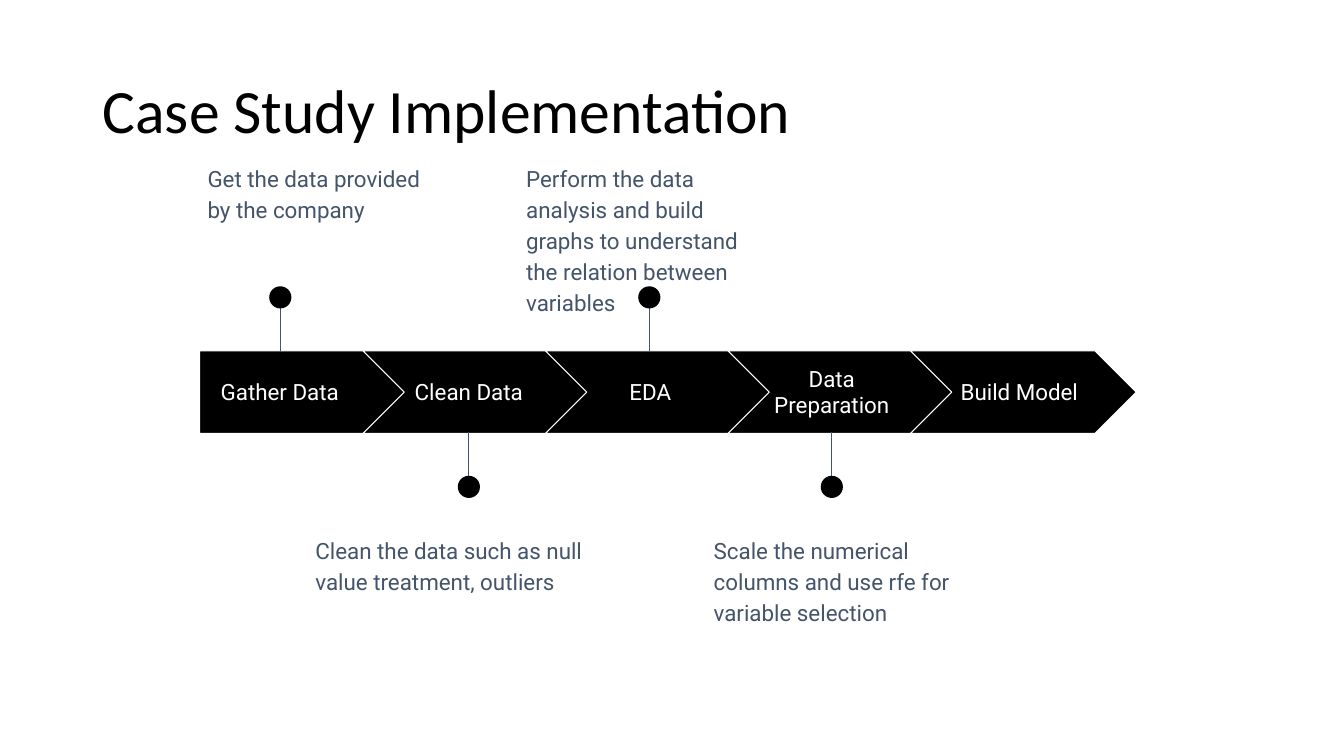
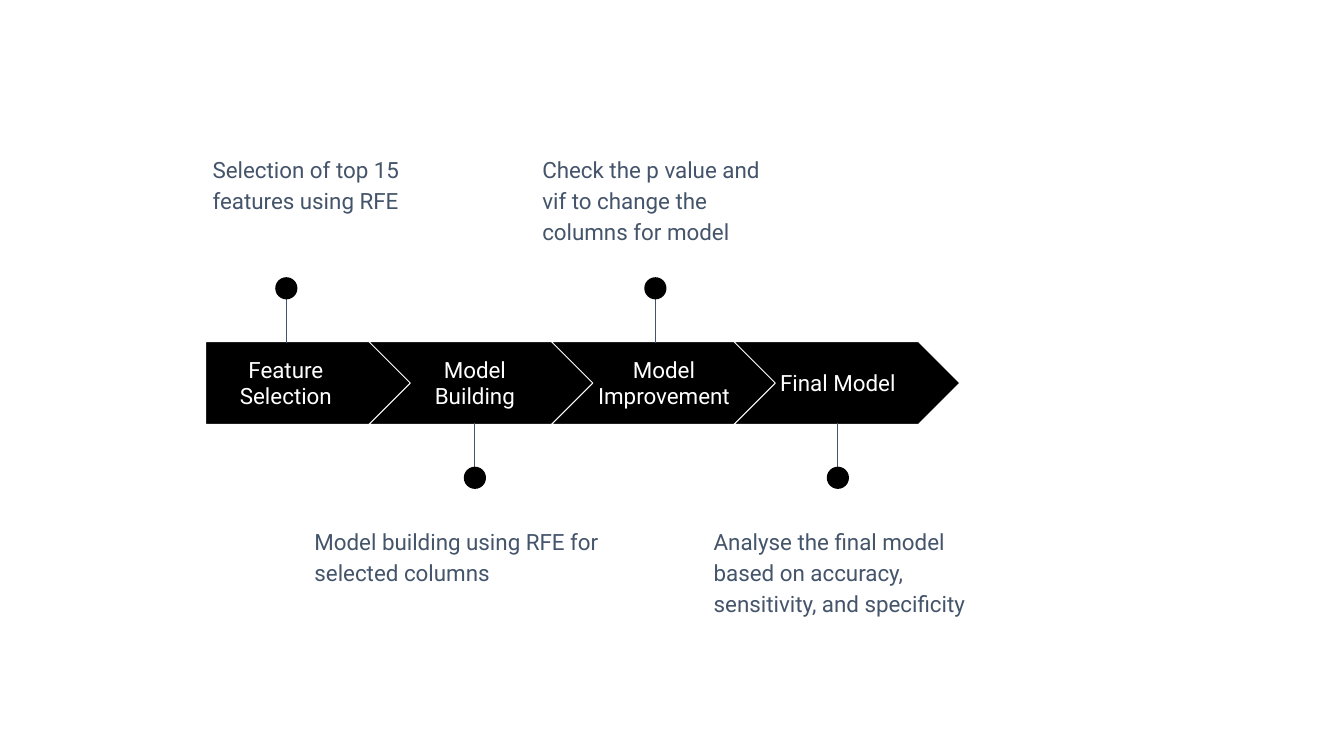
"""Build two slides that show the steps of a case study as chevron timelines."""
from lxml.etree import SubElement
from pptx import Presentation
from pptx.dml.color import RGBColor
from pptx.enum.shapes import MSO_CONNECTOR as LINE, MSO_SHAPE as SHAPE
from pptx.enum.text import MSO_ANCHOR as ANCHOR, PP_ALIGN as ALIGN
from pptx.oxml.ns import qn
from pptx.util import Inches, Pt

BLACK = RGBColor(0x00, 0x00, 0x00)
WHITE = RGBColor(0xFF, 0xFF, 0xFF)
SLATE = RGBColor(0x44, 0x54, 0x6A)

TITLE = {
    "font": {"name": "Calibri", "size": Pt(44)}, "color": BLACK,
    "frame": {"vertical_anchor": ANCHOR.MIDDLE},
    "para": {"line_spacing": 0.9},
}
INSET = {"margin_" + side: Inches(0.1) for side in ("left", "right", "top", "bottom")}
BODY = {"name": "Roboto", "size": Pt(16)}
LABEL = {
    "font": BODY, "color": WHITE,
    "frame": {**INSET, "vertical_anchor": ANCHOR.MIDDLE},
    "para": {"alignment": ALIGN.CENTER},
}
NOTE = {
    "font": BODY, "color": SLATE,
    "frame": {**INSET, "vertical_anchor": ANCHOR.TOP},
    "para": {"line_spacing": 1.15, "space_after": Pt(16)},
}

FIRST, STEP = 1.62, 1.81
HIGH, BALL = 0.82, 0.22
LABELS = (0, 1.95, 3.75, 5.55, 7.41)
PINS = (0.8, 2.67, 4.46, 6.27)

SLIDES = [
    {"title": "Case Study Implementation", "left": 1.98, "top": 3.48, "steps": [
        ("Gather Data", 1.59),
        ("Clean Data", 1.44),
        ("EDA", 1.44),
        ("Data Preparation", 1.44),
        ("Build Model", 1.44),
    ], "notes": [
        ("Get the data provided by the company", 1.96, 2.45, 0.99),
        ("Clean the data such as null value treatment, outliers", 3.03, 3.2, 0.82),
        ("Perform the data analysis and build graphs to understand "
         "the relation between variables", 5.12, 2.65, 0.99),
        ("Scale the numerical columns and use rfe for variable selection",
         6.98, 2.55, 0.82),
    ]},
    {"title": None, "left": 2.04, "top": 3.39, "steps": [
        ("Feature Selection", 1.59),
        ("Model Building", 1.44),
        ("Model Improvement", 1.59),
        ("Final Model", 1.44),
    ], "notes": [
        ("Selection of top 15 features using RFE", 2.01, 2.45, 0.99),
        ("Model building using RFE for selected columns", 3.02, 3.36, 0.99),
        ("Check the p value and vif to change the columns for model",
         5.28, 2.45, 0.99),
        ("Analyse the final model based on accuracy, sensitivity, and specificity",
         6.98, 2.74, 0.99),
    ]},
]


def write(slide, words, box, style):
    frame = slide.shapes.add_textbox(*map(Inches, box)).text_frame
    frame.word_wrap = True
    para = frame.paragraphs[0]
    run = para.add_run()
    run.text = words
    run.font.color.rgb = style["color"]
    for item, part in ((frame, "frame"), (para, "para"), (run.font, "font")):
        for name, value in style[part].items():
            setattr(item, name, value)


def draw(shapes, kind, box):
    shape = shapes.add_shape(kind, *map(Inches, box))
    shape.shadow.inherit = False
    shape.fill.solid()
    shape.fill.fore_color.rgb = BLACK
    return shape


prs = Presentation()
prs.slide_width, prs.slide_height = Inches(13.33), Inches(7.5)

for page in SLIDES:
    slide = prs.slides.add_slide(prs.slide_layouts[6])
    left, top = page["left"], page["top"]
    if page["title"]:
        write(slide, page["title"], (0.92, 0.4, 11.5, 1.45), TITLE)

    for i, (label, width) in enumerate(page["steps"]):
        if i == 0:
            arrow = draw(slide.shapes, SHAPE.PENTAGON, (left, top, 2.05, HIGH))
        else:
            start = left + FIRST + STEP * (i - 1)
            arrow = draw(slide.shapes, SHAPE.CHEVRON, (start, top, 2.24, HIGH))
        arrow.adjustments[0] = 0.5
        arrow.line.color.rgb = WHITE
        arrow.line.width = Pt(0.75)
        write(slide, label, (left + LABELS[i], top + 0.15, width, 0.51), LABEL)

        if i >= len(page["notes"]):
            continue
        if i % 2 == 0:
            far, near, ball, above = top - 0.6, top + 0.01, top - 0.64, top - 1.98
        else:
            far, near, ball, above = top + 1.42, top + 0.81, top + 1.24, top + 1.71
        x = left + PINS[i]
        pin = slide.shapes.add_group_shape()
        stem = pin.shapes.add_connector(LINE.STRAIGHT, *map(Inches, (x, far, x, near)))
        stem.line.color.rgb = SLATE
        stem.line.width = Pt(0.75)
        SubElement(stem.element.spPr, qn("a:effectLst"))
        dot = draw(pin.shapes, SHAPE.OVAL, (x - BALL / 2, ball, BALL, BALL))
        dot.line.fill.background()

        note, start, width, height = page["notes"][i]
        write(slide, note, (start, above, width, height), NOTE)

prs.save("out.pptx")
